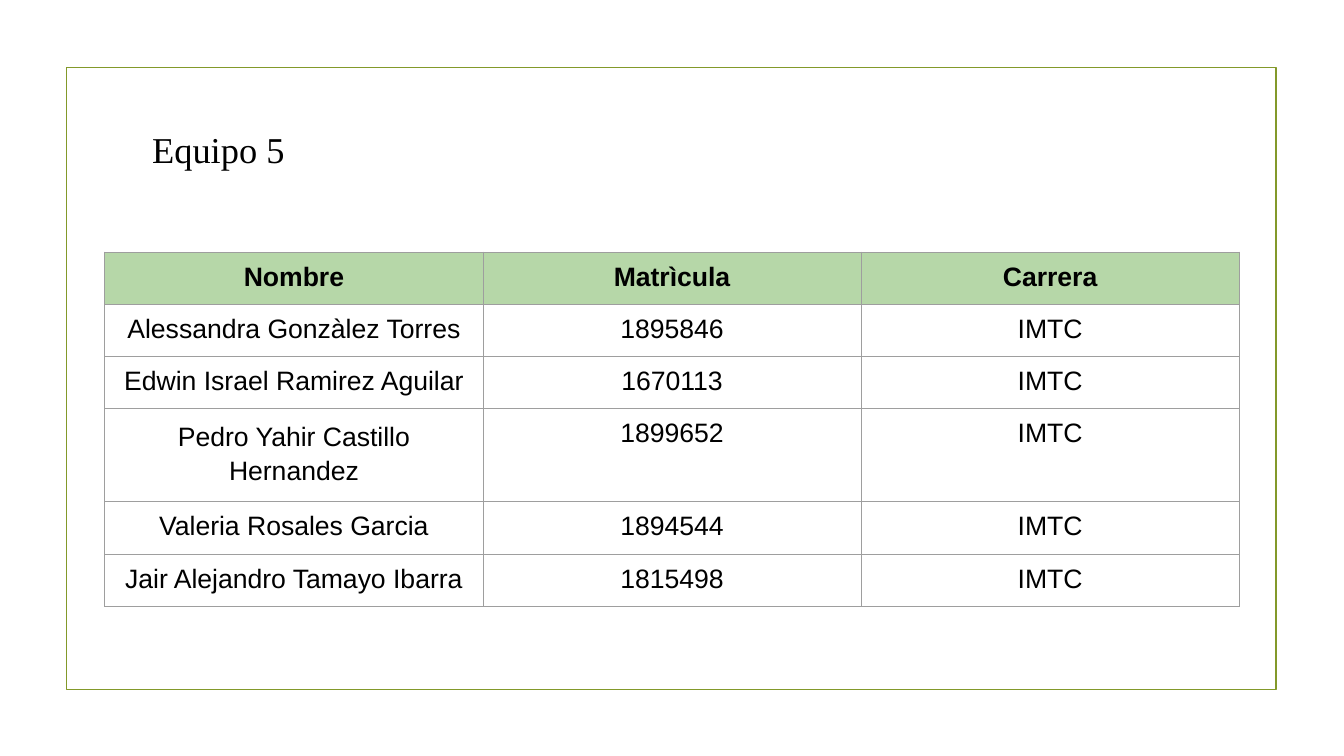
import dataclasses

import pptx
import pptx.dml.color
import pptx.enum.shapes
import pptx.enum.text
import pptx.oxml
import pptx.oxml.ns
import pptx.util
from pptx.util import Inches


@dataclasses.dataclass(frozen=True)
class Theme:
    frame: str = "83992A"
    text: str = "000000"
    header: str = "B6D7A8"
    grid: str = "9E9E9E"
    title_font: str = "Times New Roman"
    table_font: str = "Arial"
    title_size: float = 26
    table_size: float = 19
    frame_width: float = 1.25
    grid_width: float = 0.75
    inset: float = 0.1


HEADERS = ("Nombre", "Matrìcula", "Carrera")
STUDENTS = (
    ("Alessandra Gonzàlez Torres", "1895846"),
    ("Edwin Israel Ramirez Aguilar", "1670113"),
    ("Pedro Yahir Castillo Hernandez", "1899652"),
    ("Valeria Rosales Garcia", "1894544"),
    ("Jair Alejandro Tamayo Ibarra", "1815498"),
)
DEGREE = "IMTC"
WRAPPED_NAME_ROW = 3


def color(value):
    return pptx.dml.color.RGBColor.from_string(value)


class SlideBuilder:
    def __init__(self, slide, theme):
        self.slide = slide
        self.theme = theme

    def style_font(self, paragraph, name, size, bold=False):
        font = paragraph.font
        font.name = name
        font.size = pptx.util.Pt(size)
        font.bold = bold
        font.color.rgb = color(self.theme.text)

    def set_margins(self, target):
        """Give a text frame or a table cell the same inset on each side."""
        for side in ("left", "top", "right", "bottom"):
            setattr(target, f"margin_{side}", Inches(self.theme.inset))

    def add_frame(self, left, top, width, height):
        shape = self.slide.shapes.add_shape(
            pptx.enum.shapes.MSO_SHAPE.RECTANGLE,
            Inches(left), Inches(top), Inches(width), Inches(height))
        shape.shadow.inherit = False
        shape.fill.background()
        shape.line.color.rgb = color(self.theme.frame)
        shape.line.width = pptx.util.Pt(self.theme.frame_width)

    def add_title(self, text, left, top, width, height):
        box = self.slide.shapes.add_textbox(
            Inches(left), Inches(top), Inches(width), Inches(height))
        text_frame = box.text_frame
        text_frame.word_wrap = True
        self.set_margins(text_frame)
        paragraph = text_frame.paragraphs[0]
        paragraph.text = text
        self.style_font(paragraph, self.theme.title_font, self.theme.title_size)

    def add_borders(self, cell):
        properties = cell._tc.get_or_add_tcPr()
        width = pptx.util.Pt(self.theme.grid_width)
        for position, side in enumerate(("lnL", "lnR", "lnT", "lnB")):
            properties.insert(position, pptx.oxml.parse_xml(
                f'<a:{side} {pptx.oxml.ns.nsdecls("a")} w="{width}"><a:solidFill>'
                f'<a:srgbClr val="{self.theme.grid}"/></a:solidFill></a:{side}>'))

    def style_cell(self, cell, text, is_header):
        cell.text = text
        self.set_margins(cell)
        paragraph = cell.text_frame.paragraphs[0]
        paragraph.alignment = pptx.enum.text.PP_ALIGN.CENTER
        self.style_font(paragraph, self.theme.table_font,
                        self.theme.table_size, is_header)
        if is_header:
            cell.fill.solid()
            cell.fill.fore_color.rgb = color(self.theme.header)
        else:
            cell.fill.background()
        self.add_borders(cell)

    def add_table(self, rows, left, top, column_width, row_height):
        """Draw a grid of equal cells whose first row is the header."""
        column_count = len(rows[0])
        table = self.slide.shapes.add_table(
            len(rows), column_count, Inches(left), Inches(top),
            Inches(column_width * column_count),
            Inches(row_height * len(rows))).table
        table.horz_banding = False
        for column in table.columns:
            column.width = Inches(column_width)
        for row_index, values in enumerate(rows):
            table.rows[row_index].height = Inches(row_height)
            for column_index, text in enumerate(values):
                self.style_cell(table.cell(row_index, column_index), text,
                                row_index == 0)
        return table


def main():
    presentation = pptx.Presentation()
    presentation.slide_width = Inches(13.33)
    presentation.slide_height = Inches(7.5)
    slide = presentation.slides.add_slide(presentation.slide_layouts[6])
    builder = SlideBuilder(slide, Theme())

    builder.add_frame(0.66, 0.67, 12, 6.17)
    builder.add_title("Equipo 5", 1.41, 1.16, 10.28, 1.08)
    rows = [HEADERS] + [(*student, DEGREE) for student in STUDENTS]
    table = builder.add_table(rows, 1.04, 2.5, 3.75, 0.42)
    wrapped_name = table.cell(WRAPPED_NAME_ROW, 0).text_frame.paragraphs[0]
    wrapped_name.line_spacing = 1.15

    presentation.save("out.pptx")


if __name__ == "__main__":
    main()
